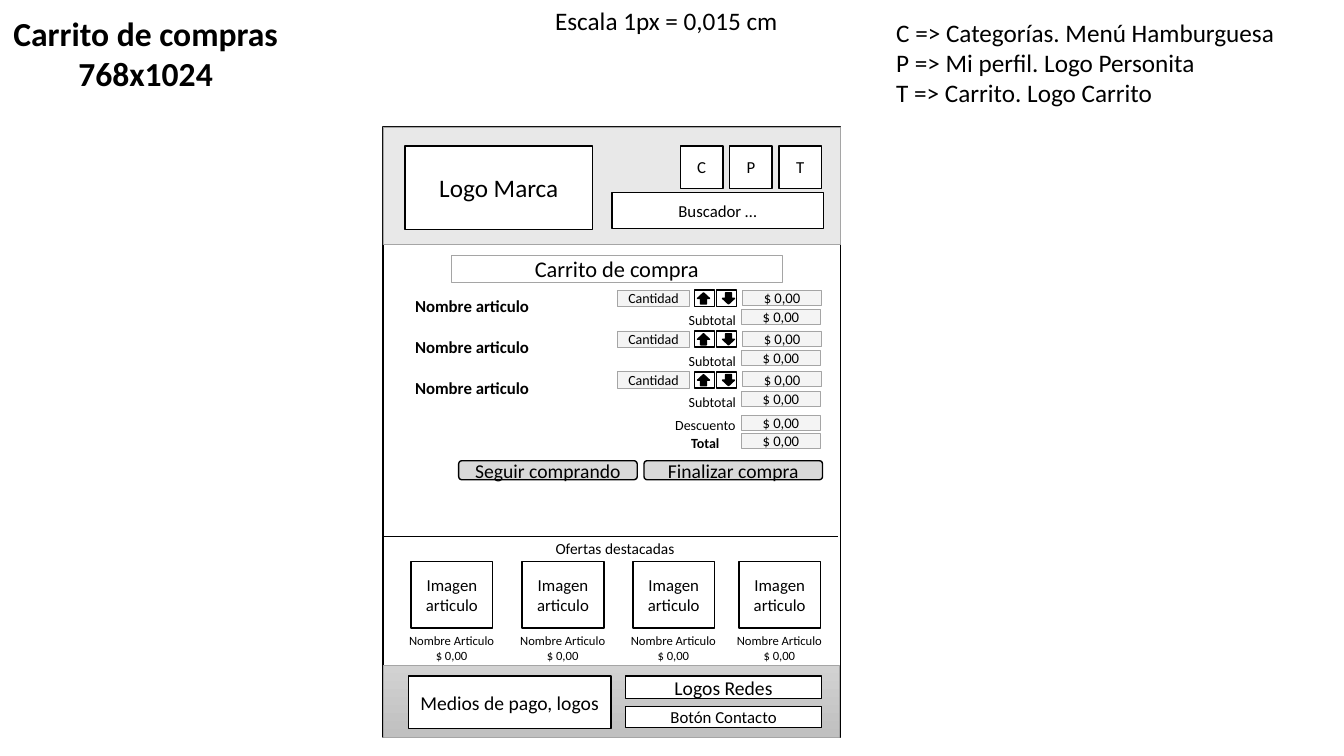
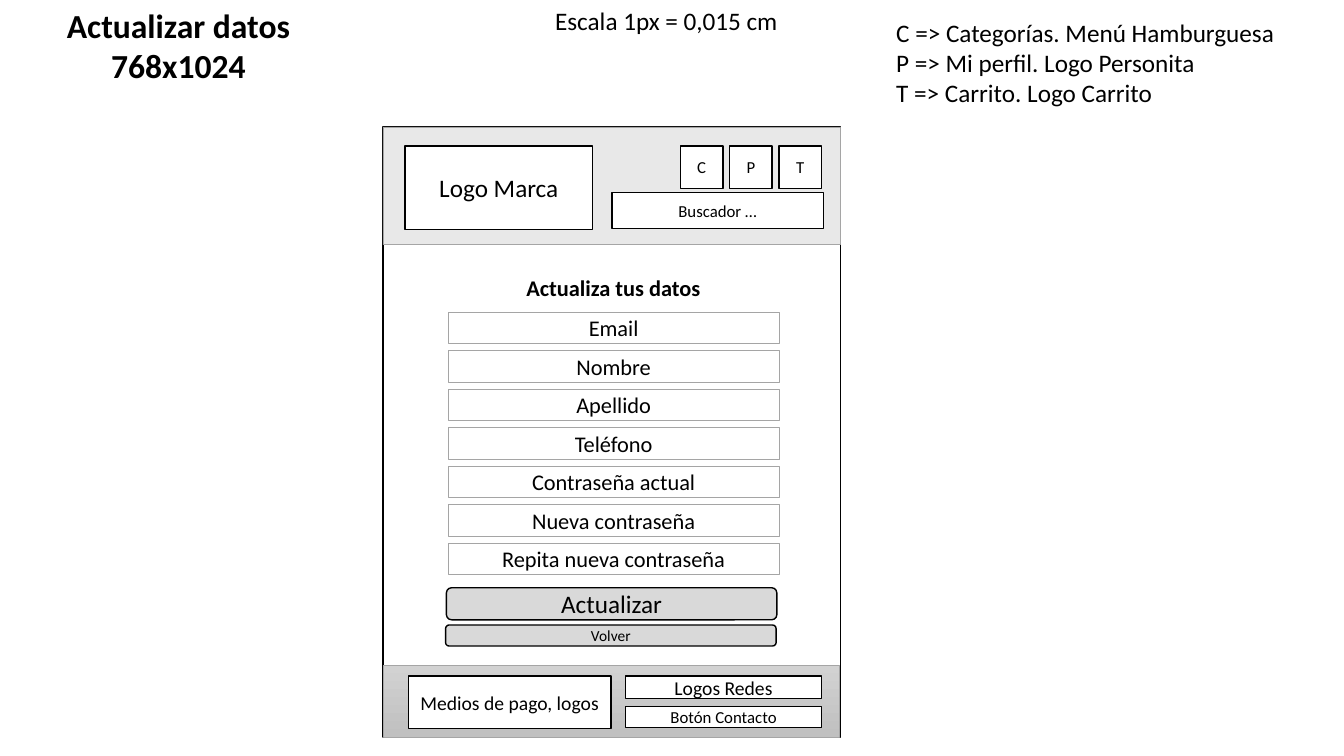
from dataclasses import dataclass
from lxml.etree import SubElement
from pptx import Presentation
from pptx.dml.color import RGBColor
from pptx.enum.shapes import MSO_CONNECTOR, MSO_SHAPE
from pptx.enum.text import MSO_ANCHOR, MSO_AUTO_SIZE, PP_ALIGN
from pptx.oxml.ns import qn
from pptx.util import Cm, Pt


@dataclass(frozen=True)
class Theme:
    font: str = "Calibri"
    ink: str = "000000"
    edge: str = "A5A5A5"
    paper: str = "FFFFFF"
    grey: str = "D9D9D9"
    light: str = "D2D2D2"
    dark: str = "C0C0C0"
    head: float = 24
    large: float = 18
    field: float = 16
    mid: float = 14
    base: float = 12
    small: float = 11
    price: float = 10.5
    tag: float = 10
    tiny: float = 9


theme = Theme()
PLAIN = (theme.paper, 100, theme.ink, 1)
THIN = (theme.paper, 100, theme.edge, 0.5)
BAND = (theme.grey, 58, theme.edge, 0.5)
PALE = (theme.grey, 28, theme.edge, 0.5)
BUTTON = (theme.grey, 100, theme.ink, 1)
SOLID = (theme.ink, 100, theme.ink, 1)


def write(frame, lines, size, bold=False, align=PP_ALIGN.CENTER, wrap=True):
    frame.auto_size = MSO_AUTO_SIZE.NONE
    frame.word_wrap = wrap
    for i, line in enumerate(lines):
        para = frame.add_paragraph() if i else frame.paragraphs[0]
        para.alignment = align
        para.space_before = Pt(0)
        run = para.add_run()
        run.text = line
        run.font.name = theme.font
        run.font.size = Pt(size)
        run.font.bold = bold
        run.font.color.rgb = RGBColor.from_string(theme.ink)


def box(host, at, style, text=None, size=theme.base, kind=MSO_SHAPE.RECTANGLE):
    fill, alpha, edge, width = style
    shape = host.add_shape(kind, *map(Cm, at))
    shape.shadow.inherit = False
    shape.fill.solid()
    shape.fill.fore_color.rgb = RGBColor.from_string(fill)
    if alpha < 100:
        tint = shape._element.spPr.find(qn("a:solidFill"))[0]
        SubElement(tint, qn("a:alpha")).set("val", str(alpha * 1000))
    shape.line.color.rgb = RGBColor.from_string(edge)
    shape.line.width = Pt(width)
    if text:
        shape.text_frame.vertical_anchor = MSO_ANCHOR.MIDDLE
        write(shape.text_frame, [text], size)
    return shape


deck = Presentation()
deck.slide_width, deck.slide_height = Cm(33.87), Cm(19.05)

pages = [
    ("Carrito de compras", (0.05, 0.2, 7.24, 2.31)),
    ("Actualizar datos", (1.4, 0, 6.2, 2.31)),
]
legend = [
    "C => Categorías. Menú Hamburguesa",
    "P => Mi perfil. Logo Personita",
    "T => Carrito. Logo Carrito",
]

for name, place in pages:
    slide = deck.slides.add_slide(deck.slide_layouts[1])
    shapes = slide.shapes
    title, body = shapes.title, slide.placeholders[1]
    for holder, at in ((title, place), (body, (22.33, 0.3, 10.16, 2.57))):
        holder.left, holder.top, holder.width, holder.height = map(Cm, at)
        holder.text_frame.vertical_anchor = MSO_ANCHOR.TOP
    write(title.text_frame, [name, "768x1024"], theme.head, True, wrap=False)
    write(body.text_frame, legend, theme.large, align=PP_ALIGN.LEFT, wrap=False)
    for para in body.text_frame.paragraphs:
        props = para._p.get_or_add_pPr()
        props.set("marL", "0")
        props.set("indent", "0")
        SubElement(props, qn("a:buNone"))
    scale = shapes.add_textbox(Cm(13.74), Cm(0), Cm(6.17), Cm(1.02))
    write(scale.text_frame, ["Escala 1px = 0,015 cm"], theme.large,
          align=PP_ALIGN.LEFT, wrap=False)

    box(shapes, (9.65, 3.2, 11.53, 15.37), PLAIN)
    foot = box(shapes, (9.65, 16.76, 11.51, 1.81), THIN)
    foot.fill.gradient()
    foot.fill.gradient_angle = 270
    for stop, shade in zip(foot.fill.gradient_stops, (theme.light, theme.dark)):
        stop.color.rgb = RGBColor.from_string(shade)
    box(shapes, (9.65, 3.2, 11.53, 2.97), BAND)
    for at, text, size in (
        ((10.21, 3.68, 4.72, 2.11), "Logo Marca", theme.large),
        ((15.42, 4.85, 5.33, 0.91), "Buscador …", theme.base),
        ((10.29, 17.04, 5.11, 1.32), "Medios de pago, logos", theme.mid),
        ((15.77, 17.04, 4.93, 0.56), "Logos Redes", theme.mid),
        ((15.77, 17.81, 4.93, 0.53), "Botón Contacto", theme.base),
    ):
        box(shapes, at, PLAIN, text, size)
    for i, text in enumerate("CPT"):
        box(shapes, (17.15 + 1.24 * i, 3.68, 1.07, 1.07), PLAIN, text)

cart, form = (slide.shapes for slide in deck.slides)
cost = "$ 0,00"

box(cart, (11.38, 6.43, 8.33, 0.69), THIN, "Carrito de compra", theme.field)
for i in range(3):
    top = 7.31 + 1.03 * i
    row = cart.add_group_shape().shapes
    item = row.add_textbox(Cm(10.21), Cm(top + 0.03), Cm(5.31), Cm(0.76))
    write(item.text_frame, ["Nombre articulo"], theme.base, True, PP_ALIGN.LEFT)
    box(row, (15.57, top, 1.8, 0.41), PALE, "Cantidad", theme.tag)
    for left, gap, kind in (
        (17.5, 0.08, MSO_SHAPE.UP_ARROW),
        (18.06, 0.15, MSO_SHAPE.DOWN_ARROW),
    ):
        box(row, (left, top, 0.51, 0.41), PLAIN)
        box(row, (left + gap, top + 0.07, 0.3, 0.28), SOLID, kind=kind)
    box(row, (18.72, top, 1.98, 0.38), PALE, cost, theme.price)
    box(row, (18.69, top + 0.49, 1.98, 0.38), PALE, cost, theme.price)
    label = row.add_textbox(Cm(15.7), Cm(top + 0.41), Cm(4.5), Cm(0.69))
    write(label.text_frame, ["Subtotal"], theme.tag)

for top, text, bold in ((10.46, "Descuento", False), (10.92, "Total", True)):
    box(cart, (18.69, top, 1.98, 0.38), PALE, cost, theme.price)
    label = cart.add_textbox(Cm(16.71), Cm(top - 0.1), Cm(2.13), Cm(0.69))
    write(label.text_frame, [text], theme.tag, bold)

for left, text in ((11.56, "Seguir comprando"), (16.23, "Finalizar compra")):
    box(cart, (left, 11.61, 4.5, 0.48), BUTTON, text, theme.mid,
        MSO_SHAPE.ROUNDED_RECTANGLE)

rule = cart.add_connector(MSO_CONNECTOR.STRAIGHT, Cm(9.65), Cm(13.51), Cm(21.13), Cm(13.51))
rule.line.color.rgb = RGBColor.from_string(theme.ink)
rule.line.width = Pt(0.5)
SubElement(rule._element.spPr, qn("a:effectLst"))

label = cart.add_textbox(Cm(10.24), Cm(13.46), Cm(10.52), Cm(0.74))
write(label.text_frame, ["Ofertas destacadas"], theme.small)
for left in (10.36, 13.16, 15.95, 18.62):
    box(cart, (left, 14.15, 2.06, 1.68), PLAIN, "Imagen articulo")
    label = cart.add_textbox(Cm(left - 0.35), Cm(15.82), Cm(2.74), Cm(0.56))
    write(label.text_frame, ["Nombre Articulo", cost], theme.tiny)

label = form.add_textbox(Cm(9.73), Cm(6.78), Cm(11.46), Cm(0.94))
write(label.text_frame, ["Actualiza tus datos"], theme.field, True)
fields = ["Email", "Nombre", "Apellido", "Teléfono", "Contraseña actual",
          "Nueva contraseña", "Repita nueva contraseña"]
for i, text in enumerate(fields):
    box(form, (11.3, 7.87 + 0.97 * i, 8.33, 0.79), THIN, text, theme.field)
for at, text, size in (
    ((11.25, 14.81, 8.33, 0.81), "Actualizar", theme.large),
    ((11.23, 15.75, 8.33, 0.53), "Volver", theme.small),
):
    box(form, at, BUTTON, text, size, MSO_SHAPE.ROUNDED_RECTANGLE)

deck.save("out.pptx")
